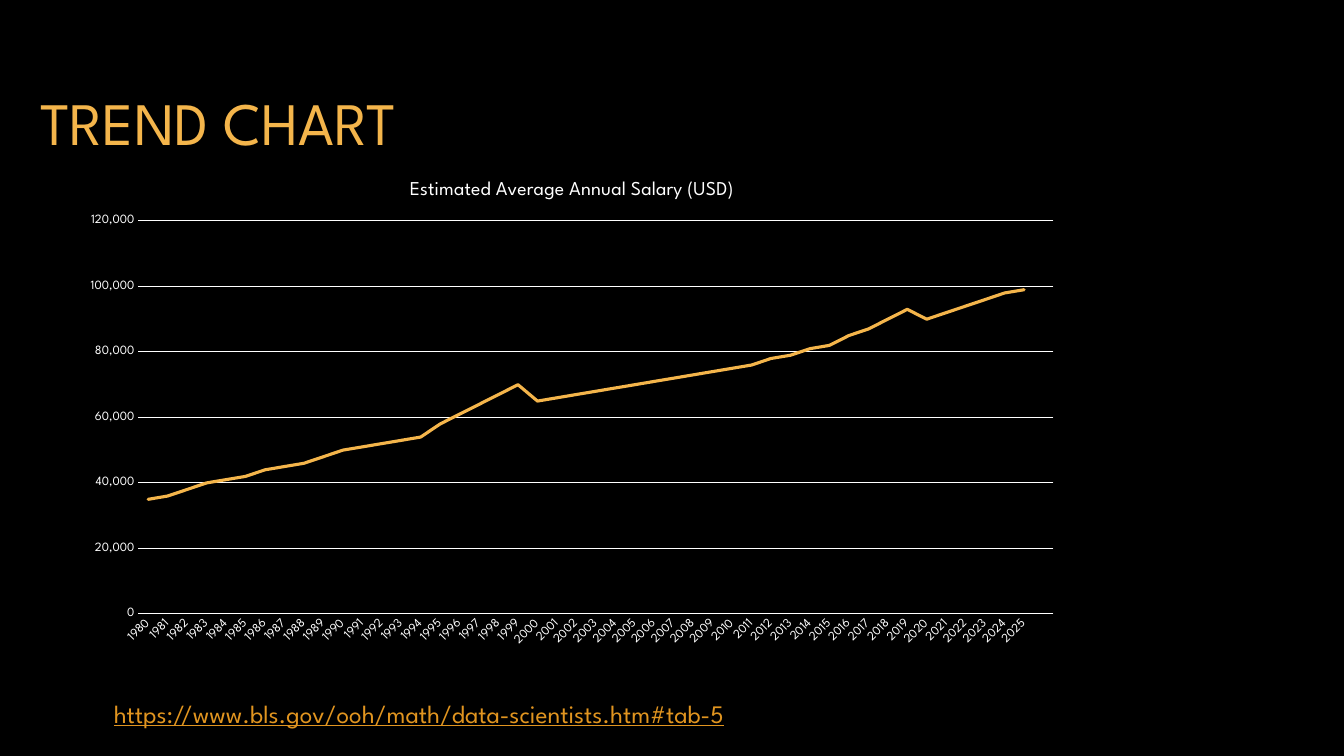
from pptx import Presentation
from pptx.chart.data import CategoryChartData
from pptx.dml.color import RGBColor
from pptx.enum.chart import XL_CHART_TYPE, XL_TICK_MARK
from pptx.enum.text import MSO_ANCHOR, MSO_AUTO_SIZE, PP_ALIGN
from pptx.util import Cm, Pt

LINE_CHART = XL_CHART_TYPE.LINE
NO_TICK = XL_TICK_MARK.NONE
MIDDLE = MSO_ANCHOR.MIDDLE
GROW = MSO_AUTO_SIZE.SHAPE_TO_FIT_TEXT
FIXED = MSO_AUTO_SIZE.NONE
LEFT = PP_ALIGN.LEFT

BLACK = RGBColor(0x00, 0x00, 0x00)
WHITE = RGBColor(0xFF, 0xFF, 0xFF)
GOLD = RGBColor(0xF4, 0xB5, 0x4B)
AMBER = RGBColor(0xE1, 0x95, 0x20)

FONT = "League Spartan"
TITLE_FORMAT = {"name": FONT, "size": Pt(43), "bold": False}
SOURCE_FORMAT = {"name": FONT, "size": Pt(18), "underline": True}
CHART_FORMAT = {"name": FONT, "size": Pt(10), "bold": False}
CHART_TITLE_FORMAT = {"name": FONT, "size": Pt(14), "bold": False}
AXIS_FORMAT = {"name": FONT, "size": Pt(9), "bold": False}

SERIES_NAME = "Estimated Average Annual Salary (USD)"
FIRST_YEAR = 1980
SALARIES_IN_THOUSANDS = [
    35, 36, 38, 40, 41, 42, 44, 45, 46, 48,
    50, 51, 52, 53, 54, 58, 61, 64, 67, 70,
    65, 66, 67, 68, 69, 70, 71, 72, 73, 74,
    75, 76, 78, 79, 81, 82, 85, 87, 90, 93,
    90, 92, 94, 96, 98, 99,
]


def format_font(font, values, color):
    for name, value in values.items():
        setattr(font, name, value)
    font.color.rgb = color


def format_line(line, color, width):
    line.color.rgb = color
    line.width = Pt(width)


def write_text(frame, text, values, color):
    para = frame.paragraphs[0]
    para.alignment = LEFT
    span = para.add_run()
    span.text = text
    format_font(span.font, values, color)


def add_title(page, text):
    title = page.shapes.title
    place = {"left": Cm(0.76), "top": Cm(2.06), "width": Cm(19.91), "height": Cm(1.98)}
    for name, value in place.items():
        setattr(title, name, value)
    frame = title.text_frame
    frame.vertical_anchor = MIDDLE
    frame.auto_size = FIXED
    write_text(frame, text, TITLE_FORMAT, GOLD)


def salary_data():
    """Return the yearly salaries, followed by one unnamed empty category."""
    data = CategoryChartData(number_format="#,##0")
    years = range(FIRST_YEAR, FIRST_YEAR + len(SALARIES_IN_THOUSANDS))
    data.categories = [str(year) for year in years] + [""]
    salaries = [value * 1000 for value in SALARIES_IN_THOUSANDS]
    data.add_series(SERIES_NAME, salaries + [None])
    return data


def format_axis(axis):
    axis.major_tick_mark = NO_TICK
    axis.minor_tick_mark = NO_TICK
    format_font(axis.tick_labels.font, AXIS_FORMAT, WHITE)


def add_salary_chart(page):
    chart = page.shapes.add_chart(
        LINE_CHART, Cm(1.78), Cm(4.04), Cm(25.27), Cm(12.5), salary_data()
    ).chart
    format_font(chart.font, CHART_FORMAT, WHITE)
    chart.has_legend = False
    chart.has_title = True
    write_text(chart.chart_title.text_frame, SERIES_NAME, CHART_TITLE_FORMAT, WHITE)
    chart.chart_title.include_in_layout = False

    years, amounts = chart.category_axis, chart.value_axis
    for axis in (years, amounts):
        format_axis(axis)
    format_line(years.format.line, WHITE, 0.75)
    label_body = years.tick_labels.font._element.getparent().getparent().getparent()
    label_body.bodyPr.set("rot", "-2700000")
    amounts.minimum_scale = 0
    amounts.maximum_scale = 120000
    amounts.major_unit = 20000
    amounts.format.line.fill.background()
    amounts.has_major_gridlines = True
    format_line(amounts.major_gridlines.format.line, WHITE, 0.75)
    amounts.tick_labels.number_format = "#,##0"
    amounts.tick_labels.number_format_is_linked = False

    plot = chart.plots[0]
    plot.vary_by_categories = False
    trend = plot.series[0]
    trend.smooth = False
    format_line(trend.format.line, GOLD, 2.25)
    trend.format.line._get_or_add_ln().set("cap", "rnd")


def add_source(page, address):
    box = page.shapes.add_textbox(Cm(2.62), Cm(17.48), Cm(18.39), Cm(1.02))
    frame = box.text_frame
    frame.word_wrap = False
    frame.auto_size = GROW
    write_text(frame, address, SOURCE_FORMAT, AMBER)


def main():
    deck = Presentation()
    deck.slide_width, deck.slide_height = Cm(33.87), Cm(19.05)
    page = deck.slides.add_slide(deck.slide_layouts.get_by_name("Title Only"))
    page.background.fill.solid()
    page.background.fill.fore_color.rgb = BLACK
    add_title(page, "TREND CHART")
    add_salary_chart(page)
    add_source(page, "https://www.bls.gov/ooh/math/data-scientists.htm#tab-5")
    deck.save("out.pptx")


if __name__ == "__main__":
    main()
